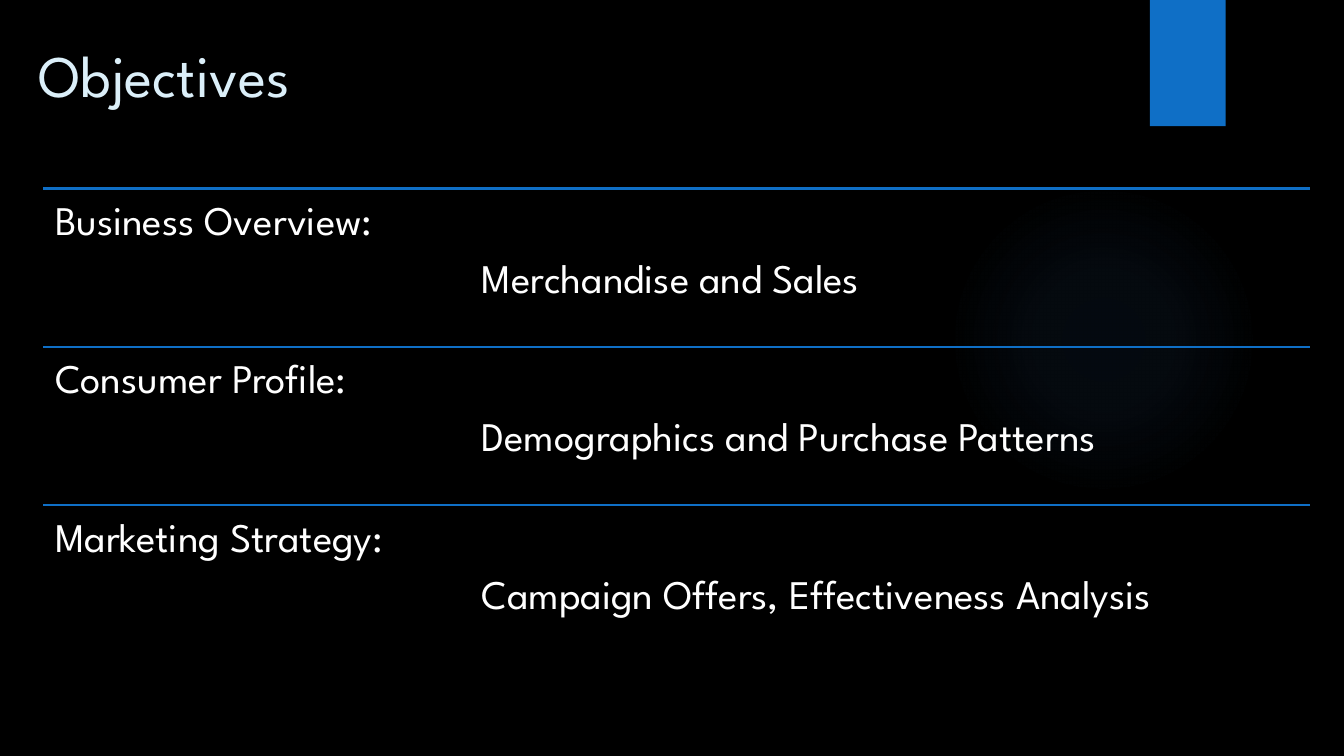
"""Build the Objectives slide with three ruled topic rows."""
from dataclasses import dataclass

import lxml.etree
import pptx
import pptx.dml.color
import pptx.enum.shapes
import pptx.enum.text
import pptx.oxml
import pptx.oxml.ns
import pptx.util

Cm = pptx.util.Cm
FONT = "League Spartan"
BLUE = "0F6FC6"
ROWS_LEFT, ROWS_TOP, ROW_WIDTH, ROW_HEIGHT = 1.09, 4.75, 31.93, 3.99
DETAIL_INDENT = 10.75
GLOW_STOPS = [(0, 7), (36, 6), (69, 0)]


@dataclass(frozen=True)
class Objective:
    topic: str
    detail: str


OBJECTIVES = [
    Objective("Business Overview:", "Merchandise and Sales"),
    Objective("Consumer Profile:", "Demographics and Purchase Patterns"),
    Objective("Marketing Strategy:", "Campaign Offers, Effectiveness Analysis"),
]


def color(value: str) -> pptx.dml.color.RGBColor:
    return pptx.dml.color.RGBColor.from_string(value)


def add_span(para, text: str, size: float, value: str) -> None:
    span = para.add_run()
    span.text = text
    span.font.name = FONT
    span.font.size = pptx.util.Pt(size)
    span.font.color.rgb = color(value)


def add_glow(page) -> None:
    glow = page.shapes.add_shape(
        pptx.enum.shapes.MSO_SHAPE.OVAL, Cm(23.9), Cm(4.65), Cm(7.82), Cm(7.82))
    glow.shadow.inherit = False
    glow.line.fill.background()
    stops = "".join(
        f'<a:gs pos="{position * 1000}"><a:srgbClr val="448AD7">'
        f'<a:alpha val="{alpha * 1000}"/></a:srgbClr></a:gs>'
        for position, alpha in GLOW_STOPS)
    gradient = pptx.oxml.parse_xml(
        f'<a:gradFill {pptx.oxml.ns.nsdecls("a")} rotWithShape="1">'
        f'<a:gsLst>{stops}</a:gsLst><a:path path="circle">'
        '<a:fillToRect l="50000" t="50000" r="50000" b="50000"/>'
        '</a:path></a:gradFill>')
    geometry = glow.element.spPr.find(pptx.oxml.ns.qn("a:prstGeom"))
    geometry.addnext(gradient)


def add_tab(page) -> None:
    tab = page.shapes.add_shape(
        pptx.enum.shapes.MSO_SHAPE.RECTANGLE, Cm(28.98), Cm(0), Cm(1.91), Cm(3.18))
    tab.shadow.inherit = False
    tab.fill.solid()
    tab.fill.fore_color.rgb = color(BLUE)
    tab.line.fill.background()


def format_title(page) -> None:
    title = page.shapes.title
    title.left, title.top, title.width, title.height = Cm(0.71), Cm(0.84), Cm(26.14), Cm(2.9)
    frame = title.text_frame
    frame.vertical_anchor = pptx.enum.text.MSO_ANCHOR.TOP
    para = frame.paragraphs[0]
    para.alignment = pptx.enum.text.PP_ALIGN.LEFT
    add_span(para, "Objectives", 42, "DBEFF9")


def add_rule(page, top: float) -> None:
    rule = page.shapes.add_connector(
        pptx.enum.shapes.MSO_CONNECTOR.STRAIGHT,
        Cm(ROWS_LEFT), Cm(top), Cm(ROWS_LEFT + ROW_WIDTH), Cm(top))
    rule.line.color.rgb = color(BLUE)
    rule.line.width = pptx.util.Pt(1.5)
    lxml.etree.SubElement(rule.element.spPr, pptx.oxml.ns.qn("a:effectLst"))


def add_objective(page, objective: Objective, top: float) -> None:
    add_rule(page, top)
    box = page.shapes.add_textbox(Cm(ROWS_LEFT), Cm(top), Cm(ROW_WIDTH), Cm(ROW_HEIGHT))
    frame = box.text_frame
    frame.word_wrap = True
    frame.margin_left = frame.margin_right = Cm(0.3)
    frame.margin_top = frame.margin_bottom = Cm(0.3)
    topic, detail = frame.paragraphs[0], frame.add_paragraph()
    for para, text in ((topic, objective.topic), (detail, objective.detail)):
        para.line_spacing = 0.9
        para.space_after = pptx.util.Pt(10)
        add_span(para, text, 29, "FFFFFF")
    detail._p.get_or_add_pPr().set("marL", str(int(Cm(DETAIL_INDENT))))


def main() -> None:
    deck = pptx.Presentation()
    deck.slide_width, deck.slide_height = Cm(33.87), Cm(19.05)
    page = deck.slides.add_slide(deck.slide_layouts.get_by_name("Title Only"))
    page.background.fill.solid()
    page.background.fill.fore_color.rgb = color("000000")
    add_glow(page)
    add_tab(page)
    format_title(page)
    for index, objective in enumerate(OBJECTIVES):
        add_objective(page, objective, ROWS_TOP + index * ROW_HEIGHT)
    deck.save("out.pptx")


if __name__ == "__main__":
    main()
